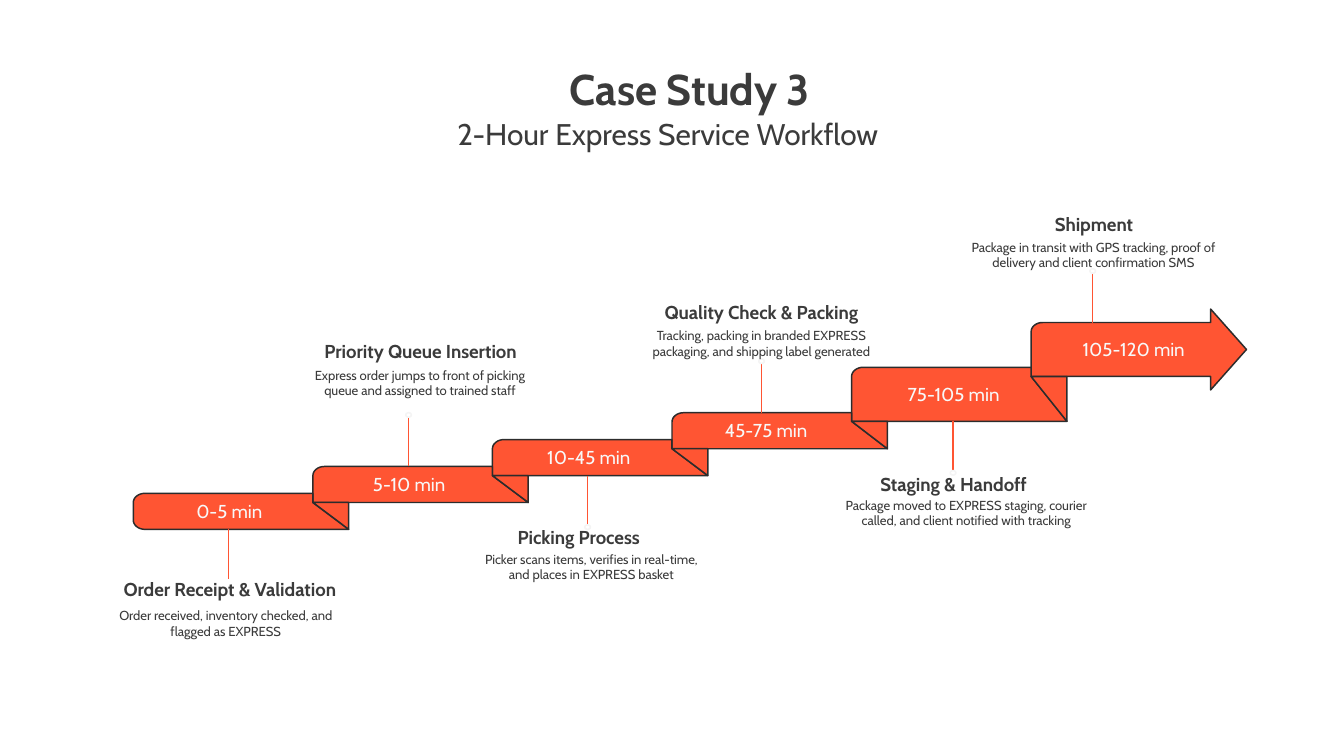
from dataclasses import dataclass
from math import cos, pi, sin

from lxml.etree import SubElement
from pptx import Presentation
from pptx.dml.color import RGBColor
from pptx.enum.shapes import MSO_CONNECTOR, MSO_SHAPE
from pptx.enum.text import MSO_AUTO_SIZE, PP_ALIGN
from pptx.oxml.ns import qn
from pptx.util import Pt

ORANGE, OUTLINE, INK, PALE, RING = "FF5533", "2C2C2C", "3B3B3B", "F8F8F8", "F4F4F4"

FIRST_LEFT, PITCH, FOLD_WIDTH = 71.4, 96.2, 19.2
CORNER_X, CORNER_Y = 6.2, 5
HEAD_LENGTH, HEAD_FLARE = 19.2, 7.2
STALK_LENGTH = 26.4
LABEL_WIDTH, LABEL_HEIGHT = 76, 12.2


def rgb(hex_string):
    return RGBColor.from_string(hex_string)


def corner(center_x, center_y, start_angle):
    """Points of a quarter ellipse, clockwise on the slide, angles in quarter turns."""
    angles = [(start_angle + i / 8) * pi / 2 for i in range(9)]
    return [(center_x + CORNER_X * cos(a), center_y + CORNER_Y * sin(a)) for a in angles]


@dataclass
class Step:
    """One stage; title and detail are placed by (left, top, width)."""
    time: str
    time_center: float
    top: float
    height: float
    stalk: float
    rises: bool
    title: str
    title_place: tuple
    detail: str
    detail_place: tuple

    @property
    def bottom(self):
        return self.top + self.height


class Painter:
    def __init__(self, slide, font="Cabin", line_width=0.8):
        self.slide = slide
        self.font = font
        self.line_width = line_width

    def text(self, words, left, top, width, height, size, color=INK, bold=False,
             inset=0, space_after=0):
        frame = self.slide.shapes.add_textbox(Pt(left), Pt(top), Pt(width), Pt(height)).text_frame
        frame.word_wrap = True
        frame.auto_size = MSO_AUTO_SIZE.SHAPE_TO_FIT_TEXT
        frame.margin_left = frame.margin_right = Pt(inset)
        frame.margin_top = frame.margin_bottom = Pt(inset)
        paragraph = frame.paragraphs[0]
        paragraph.text = words
        paragraph.alignment = PP_ALIGN.CENTER
        paragraph.space_after = Pt(space_after)
        font = paragraph.font
        font.name, font.size, font.bold = self.font, Pt(size), bold
        font.color.rgb = rgb(color)

    def polygon(self, points):
        (start_x, start_y), *rest = [(Pt(x), Pt(y)) for x, y in points]
        builder = self.slide.shapes.build_freeform(start_x, start_y)
        builder.add_line_segments(rest, close=True)
        outline = builder.convert_to_shape()
        outline.shadow.inherit = False
        outline.fill.solid()
        outline.fill.fore_color.rgb = rgb(ORANGE)
        outline.line.color.rgb = rgb(OUTLINE)
        outline.line.width = Pt(self.line_width)

    def line(self, x, start_y, end_y):
        stalk = self.slide.shapes.add_connector(
            MSO_CONNECTOR.STRAIGHT, Pt(x), Pt(start_y), Pt(x), Pt(end_y))
        stalk.line.color.rgb = rgb(ORANGE)
        stalk.line.width = Pt(self.line_width)
        SubElement(stalk._element.spPr, qn("a:effectLst"))

    def ring(self, center_x, center_y, width=3, height=2.4):
        ring = self.slide.shapes.add_shape(
            MSO_SHAPE.OVAL, Pt(center_x - width / 2), Pt(center_y - height / 2),
            Pt(width), Pt(height))
        ring.shadow.inherit = False
        ring.fill.background()
        ring.line.color.rgb = rgb(RING)
        ring.line.width = Pt(self.line_width)


STEPS = [
    Step("0-5 min", 122.8, 264.3, 19.3, 122.4, False,
         "Order Receipt & Validation", (54.7, 309.6, 136.8),
         "Order received, inventory checked, and flagged as EXPRESS", (54.7, 325.4, 132.5)),
    Step("5-10 min", 219.2, 249.9, 19.3, 218.9, True,
         "Priority Queue Insertion", (163.4, 182.2, 123.8),
         "Express order jumps to front of picking queue and assigned to trained staff",
         (164.9, 196.6, 120.2)),
    Step("10-45 min", 315.4, 235.5, 19.3, 314.8, False,
         "Picking Process", (272.2, 281.5, 75.6),
         "Picker scans items, verifies in real-time, and places in EXPRESS basket",
         (254.9, 295.2, 123.8)),
    Step("45-75 min", 410.4, 221.1, 19.3, 408, True,
         "Quality Check & Packing", (347.8, 161.3, 120.2),
         "Tracking, packing in branded EXPRESS packaging, and shipping label generated",
         (336.2, 175.7, 143.3)),
    Step("75-105 min", 510.8, 196.8, 28.9, 510.6, False,
         "Staging & Handoff", (460.1, 253.4, 101.5),
         "Package moved to EXPRESS staging, courier called, and client notified with tracking",
         (447.8, 266.4, 139.7)),
    Step("105-120 min", 607.3, 172.8, 28.9, 585.4, True,
         "Shipment", (562, 113.8, 48.2),
         "Package in transit with GPS tracking, proof of delivery and client confirmation SMS",
         (514.1, 128.2, 143.3)),
]


def draw_band(painter, index):
    step = STEPS[index]
    left = FIRST_LEFT + PITCH * index
    right = left + PITCH
    start = corner(left + CORNER_X, step.top + CORNER_Y, 2)
    end = [(left, step.bottom)]
    if index == 0:
        end = corner(left + CORNER_X, step.bottom - CORNER_Y, 1)
    if index == len(STEPS) - 1:
        middle = step.top + step.height / 2
        tip = [(right, step.top), (right, step.top - HEAD_FLARE),
               (right + HEAD_LENGTH, middle),
               (right, step.bottom + HEAD_FLARE), (right, step.bottom)]
        painter.polygon(start + tip + end)
        return
    crease = (right, STEPS[index + 1].bottom)
    fold_tip = (right + FOLD_WIDTH, step.bottom)
    painter.polygon(start + [(right, step.top), crease, fold_tip] + end)
    painter.polygon([crease, fold_tip, (fold_tip[0], crease[1])])


def draw_notes(painter, step, with_ring):
    edge, direction = (step.top, -1) if step.rises else (step.bottom, 1)
    stalk_end = edge + direction * STALK_LENGTH
    painter.line(step.stalk, edge, stalk_end)
    if with_ring:
        painter.ring(step.stalk, stalk_end + direction * 1.2)
    painter.text(step.time, step.time_center - LABEL_WIDTH / 2,
                 step.top + (step.height - LABEL_HEIGHT) / 2,
                 LABEL_WIDTH, LABEL_HEIGHT, 10, PALE)
    painter.text(step.title, *step.title_place, 12.2, 10, bold=True)
    painter.text(step.detail, *step.detail_place, 17.3, 7)


def main():
    deck = Presentation()
    deck.slide_width, deck.slide_height = Pt(720), Pt(405)
    painter = Painter(deck.slides.add_slide(deck.slide_layouts[6]))
    painter.text("Case Study 3", 158.4, 26.6, 422.6, 42.5, 23, bold=True,
                 inset=7.2, space_after=12)
    painter.text("2-Hour Express Service Workflow", 204.5, 61.9, 306.7, 19.4, 16)
    # Each fold lies over the band that follows it.
    for index in reversed(range(len(STEPS))):
        draw_band(painter, index)
    for index, step in enumerate(STEPS):
        draw_notes(painter, step, with_ring=index > 0)
    deck.save("out.pptx")


if __name__ == "__main__":
    main()
